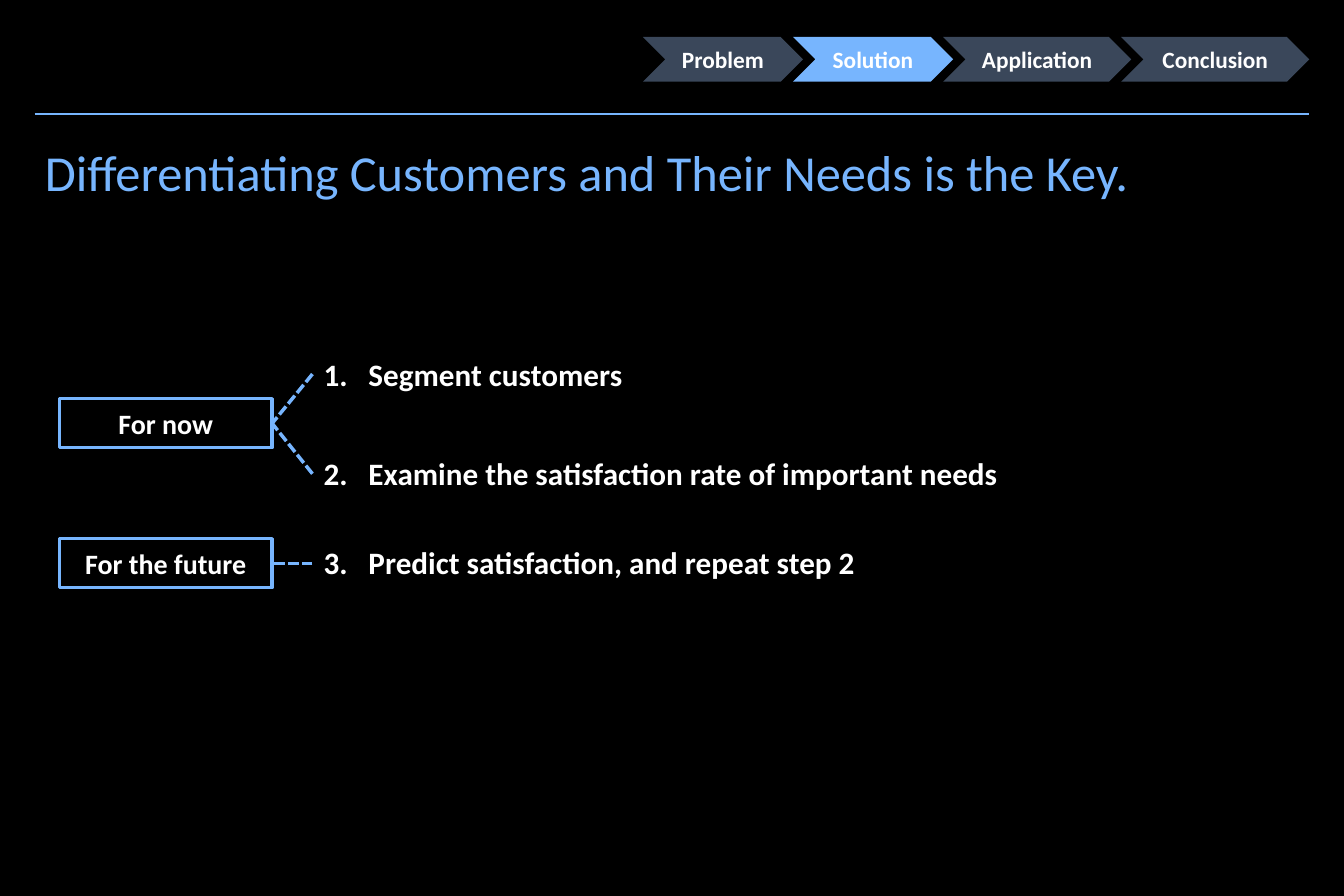
"""Build a slide with a progress tracker and numbered steps grouped by time horizon."""
from dataclasses import dataclass
from typing import Any

from lxml.etree import SubElement
from pptx import Presentation
from pptx.dml.color import RGBColor
from pptx.enum.dml import MSO_LINE
from pptx.enum.shapes import MSO_CONNECTOR, MSO_SHAPE
from pptx.enum.text import MSO_ANCHOR, MSO_AUTO_SIZE, PP_ALIGN
from pptx.oxml.ns import qn
from pptx.util import Inches, Pt


@dataclass(frozen=True)
class Theme:
    font: str = "Calibri"
    back: RGBColor = RGBColor(0x00, 0x00, 0x00)
    text: RGBColor = RGBColor(0xFF, 0xFF, 0xFF)
    accent: RGBColor = RGBColor(0x77, 0xB5, 0xFE)
    muted: RGBColor = RGBColor(0x3A, 0x47, 0x5A)
    title_size: float = 32.4
    step_size: float = 20
    box_size: float = 18
    stage_size: float = 15


@dataclass(frozen=True)
class Stage:
    label: str
    width: float
    current: bool = False


@dataclass(frozen=True)
class Step:
    text: str
    middle: float
    gap: float


@dataclass(frozen=True)
class Horizon:
    label: str
    top: float
    steps: tuple[Step, ...]


THEME = Theme()
TITLE = "Differentiating Customers and Their Needs is the Key."
STAGES = (
    Stage("Problem", 1.43),
    Stage("Solution", 1.43, True),
    Stage("Application", 1.68),
    Stage("Conclusion", 1.68),
)
HORIZONS = (
    Horizon("For now", 3.56, (
        Step("Segment customers", 3.34, 0),
        Step("Examine the satisfaction rate of important needs", 4.23, 39.7),
    )),
    Horizon("For the future", 4.81, (
        Step("Predict satisfaction, and repeat step 2", 5.03, 33.2),
    )),
)
STAGE_LEFT, STAGE_OVERLAP = 5.74, 0.09
STEP_LEFT = 2.79


def add_text(p: Any, text: str, size: float, color: RGBColor, bold: bool = True) -> None:
    r = p.add_run()
    r.text = text
    r.font.name = THEME.font
    r.font.size = Pt(size)
    r.font.bold = bold
    r.font.color.rgb = color


def place(sp: Any, left: float, top: float, width: float, height: float) -> None:
    sp.left, sp.top = Inches(left), Inches(top)
    sp.width, sp.height = Inches(width), Inches(height)


def add_label(shapes: Any, kind: MSO_SHAPE, left: float, top: float, width: float,
              height: float, text: str, size: float) -> Any:
    sp = shapes.add_shape(kind, Inches(left), Inches(top), Inches(width), Inches(height))
    sp.shadow.inherit = False
    tf = sp.text_frame
    tf.margin_left = tf.margin_right = 0
    tf.vertical_anchor = MSO_ANCHOR.MIDDLE
    p = tf.paragraphs[0]
    p.alignment = PP_ALIGN.CENTER
    add_text(p, text, size, THEME.text)
    return sp


def add_line(shapes: Any, x1: float, y1: float, x2: float, y2: float, weight: float) -> Any:
    line = shapes.add_connector(MSO_CONNECTOR.STRAIGHT, Inches(x1), Inches(y1),
                                Inches(x2), Inches(y2))
    line.line.color.rgb = THEME.accent
    line.line.width = Pt(weight)
    SubElement(line._element.spPr, qn("a:effectLst"))
    return line


def add_title(sp: Any) -> None:
    place(sp, 0.31, 1.29, 11.33, 0.6)
    tf = sp.text_frame
    tf.auto_size = MSO_AUTO_SIZE.NONE
    tf.vertical_anchor = MSO_ANCHOR.BOTTOM
    tf.margin_left = tf.margin_right = tf.margin_top = tf.margin_bottom = Inches(0.09)
    p = tf.paragraphs[0]
    p.alignment = PP_ALIGN.LEFT
    add_text(p, TITLE, THEME.title_size, THEME.accent, bold=False)


def add_steps(sp: Any) -> None:
    place(sp, STEP_LEFT, 3.12, 8.92, 2.13)
    tf = sp.text_frame
    tf.auto_size = MSO_AUTO_SIZE.NONE
    steps = [step for horizon in HORIZONS for step in horizon.steps]
    for i, step in enumerate(steps):
        p = tf.add_paragraph() if i else tf.paragraphs[0]
        p.space_before = Pt(step.gap)
        pPr = p._p.get_or_add_pPr()
        pPr.set("marL", str(Inches(0.4)))
        pPr.set("indent", str(-Inches(0.4)))
        SubElement(pPr, qn("a:buFont"), typeface="+mj-lt")
        SubElement(pPr, qn("a:buAutoNum"), type="arabicPeriod")
        add_text(p, step.text, THEME.step_size, THEME.text)


def add_tracker(shapes: Any) -> None:
    group = shapes.add_group_shape()
    left = STAGE_LEFT
    for stage in STAGES:
        sp = add_label(group.shapes, MSO_SHAPE.CHEVRON, left, 0.33, stage.width, 0.4,
                       stage.label, THEME.stage_size)
        sp.fill.solid()
        sp.fill.fore_color.rgb = THEME.accent if stage.current else THEME.muted
        sp.line.fill.background()
        left += stage.width - STAGE_OVERLAP


def add_horizon(shapes: Any, horizon: Horizon) -> None:
    box = add_label(shapes, MSO_SHAPE.RECTANGLE, 0.53, horizon.top, 1.9, 0.44,
                    horizon.label, THEME.box_size)
    box.fill.background()
    box.line.color.rgb = THEME.accent
    box.line.width = Pt(2)
    for step in horizon.steps:
        line = add_line(shapes, STEP_LEFT, step.middle, 2.43, horizon.top + 0.22, 2.25)
        line.line.dash_style = MSO_LINE.SQUARE_DOT
        line.end_connect(box, 3)


def main() -> None:
    prs = Presentation()
    prs.slide_width, prs.slide_height = Inches(12), Inches(8)
    slide = prs.slides.add_slide(prs.slide_layouts[1])
    slide.background.fill.solid()
    slide.background.fill.fore_color.rgb = THEME.back
    add_title(slide.shapes.title)
    add_steps(slide.placeholders[1])
    add_line(slide.shapes, 0.31, 1.02, 11.69, 1.02, 1)
    add_tracker(slide.shapes)
    for horizon in HORIZONS:
        add_horizon(slide.shapes, horizon)
    prs.save("out.pptx")


if __name__ == "__main__":
    main()
